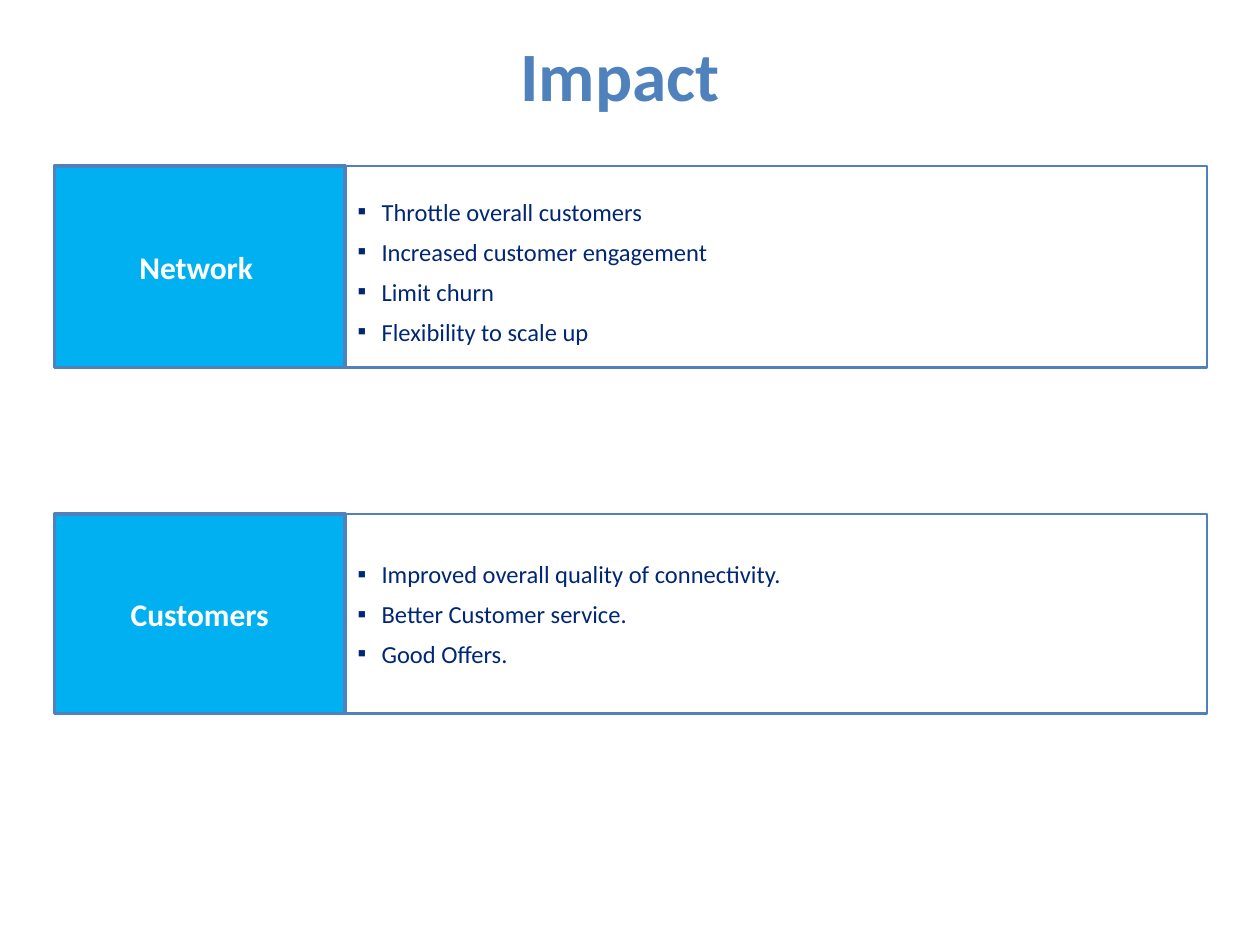
from dataclasses import dataclass

from lxml import etree
from pptx import Presentation
from pptx.dml.color import RGBColor
from pptx.enum import shapes, text
from pptx.oxml.ns import qn
from pptx.util import Pt


@dataclass(frozen=True)
class Theme:
    font: str = "Calibri"
    accent: RGBColor = RGBColor(0x4F, 0x81, 0xBD)
    label_fill: RGBColor = RGBColor(0x00, 0xB0, 0xF0)
    label_text: RGBColor = RGBColor(0xFF, 0xFF, 0xFF)
    body_text: RGBColor = RGBColor(0x00, 0x27, 0x76)
    title_size: float = 39.6
    label_size: float = 18
    body_size: float = 14


THEME = Theme()
LEFT, LABEL_W, BODY_W = 31, 166.3, 492.5
INDENT = 13.7

# label, bullets, top, height, extra top inset of the bullet box
ROWS = [
    ("Network ",
     ["Throttle overall customers", "Increased customer engagement",
      "Limit churn", "Flexibility to scale up"], 95, 115.2, 5),
    ("Customers",
     ["Improved overall quality of connectivity.", "Better Customer service.",
      "Good Offers."], 293.8, 113.8, 0),
]


def style_paragraph(p, size, color, align, bold=False, before=0):
    p.alignment = align
    p.space_before = Pt(before)
    for r in p.runs:
        r.font.name = THEME.font
        r.font.size = Pt(size)
        r.font.bold = bold
        r.font.color.rgb = color


def add_bullet(p):
    """Give the paragraph a hanging square bullet."""
    pPr = p._p.get_or_add_pPr()
    pPr.set("marL", str(Pt(INDENT)))
    pPr.set("indent", str(-Pt(INDENT)))
    color = etree.SubElement(pPr, qn("a:buClr"))
    etree.SubElement(color, qn("a:srgbClr"), val=str(THEME.body_text))
    etree.SubElement(pPr, qn("a:buFont"), typeface=THEME.font)
    etree.SubElement(pPr, qn("a:buChar"), char="▪")


def add_title(s, title):
    sp = s.shapes.add_textbox(Pt(23.8), Pt(31), Pt(661), Pt(22.3))
    tf = sp.text_frame
    tf.word_wrap = True
    tf.vertical_anchor = text.MSO_ANCHOR.MIDDLE
    tf.text = title
    style_paragraph(tf.paragraphs[0], THEME.title_size, THEME.accent,
                    text.PP_ALIGN.CENTER, bold=True)


def add_box(s, left, top, width, height, line_width, fill=None):
    sp = s.shapes.add_shape(shapes.MSO_SHAPE.RECTANGLE,
                            Pt(left), Pt(top), Pt(width), Pt(height))
    sp.shadow.inherit = False
    if fill is None:
        sp.fill.background()
    else:
        sp.fill.solid()
        sp.fill.fore_color.rgb = fill
    sp.line.color.rgb = THEME.accent
    sp.line.width = Pt(line_width)
    tf = sp.text_frame
    tf.word_wrap = True
    tf.vertical_anchor = text.MSO_ANCHOR.MIDDLE
    return tf


def add_row(s, label, bullets, top, height, extra_inset):
    tf = add_box(s, LEFT, top, LABEL_W, height, 2, THEME.label_fill)
    tf.text = label
    style_paragraph(tf.paragraphs[0], THEME.label_size, THEME.label_text,
                    text.PP_ALIGN.CENTER, bold=True, before=3.6)

    tf = add_box(s, LEFT + LABEL_W, top, BODY_W, height, 1.5)
    tf.margin_top += Pt(extra_inset)
    tf.text = "\n".join(bullets)
    for p in tf.paragraphs:
        style_paragraph(p, THEME.body_size, THEME.body_text,
                        text.PP_ALIGN.LEFT, before=6)
        add_bullet(p)


def main():
    prs = Presentation()
    prs.slide_width, prs.slide_height = Pt(720), Pt(540)
    s = prs.slides.add_slide(prs.slide_layouts[6])
    add_title(s, "Impact")
    for row in ROWS:
        add_row(s, *row)
    prs.save("out.pptx")


if __name__ == "__main__":
    main()
